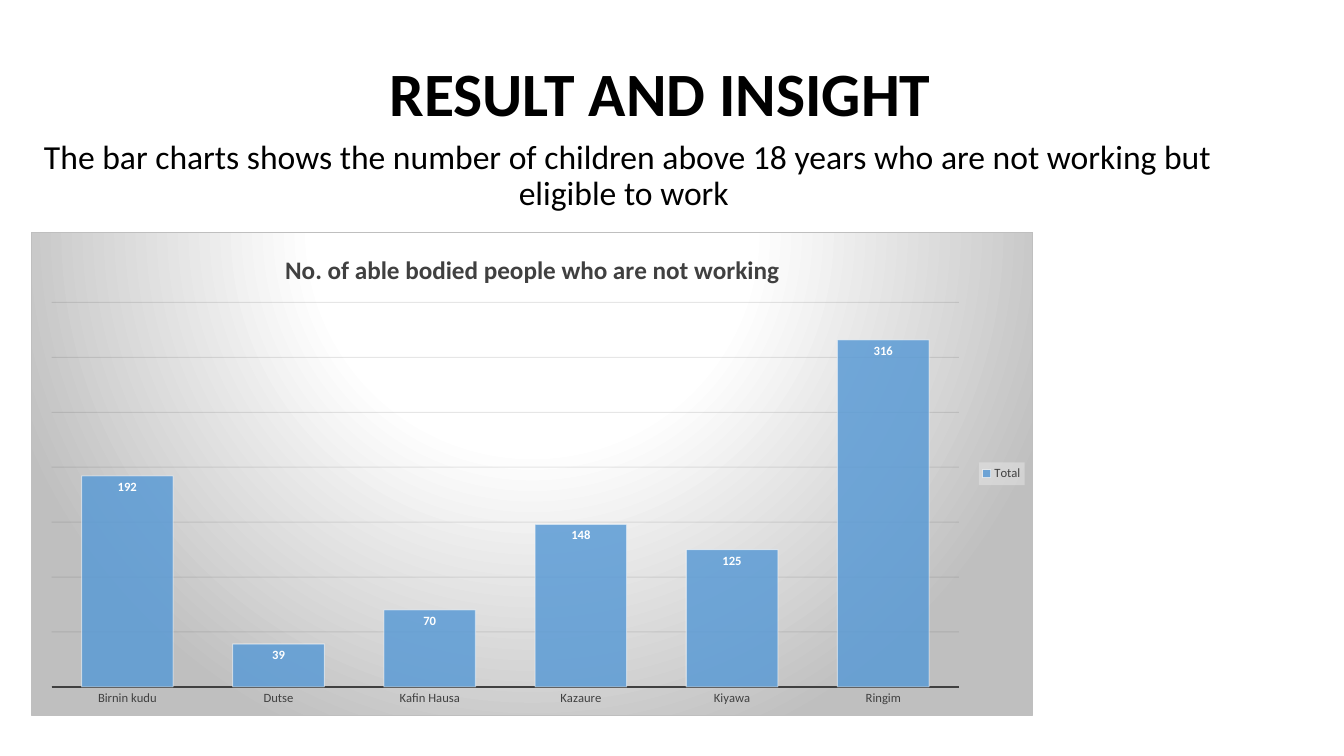
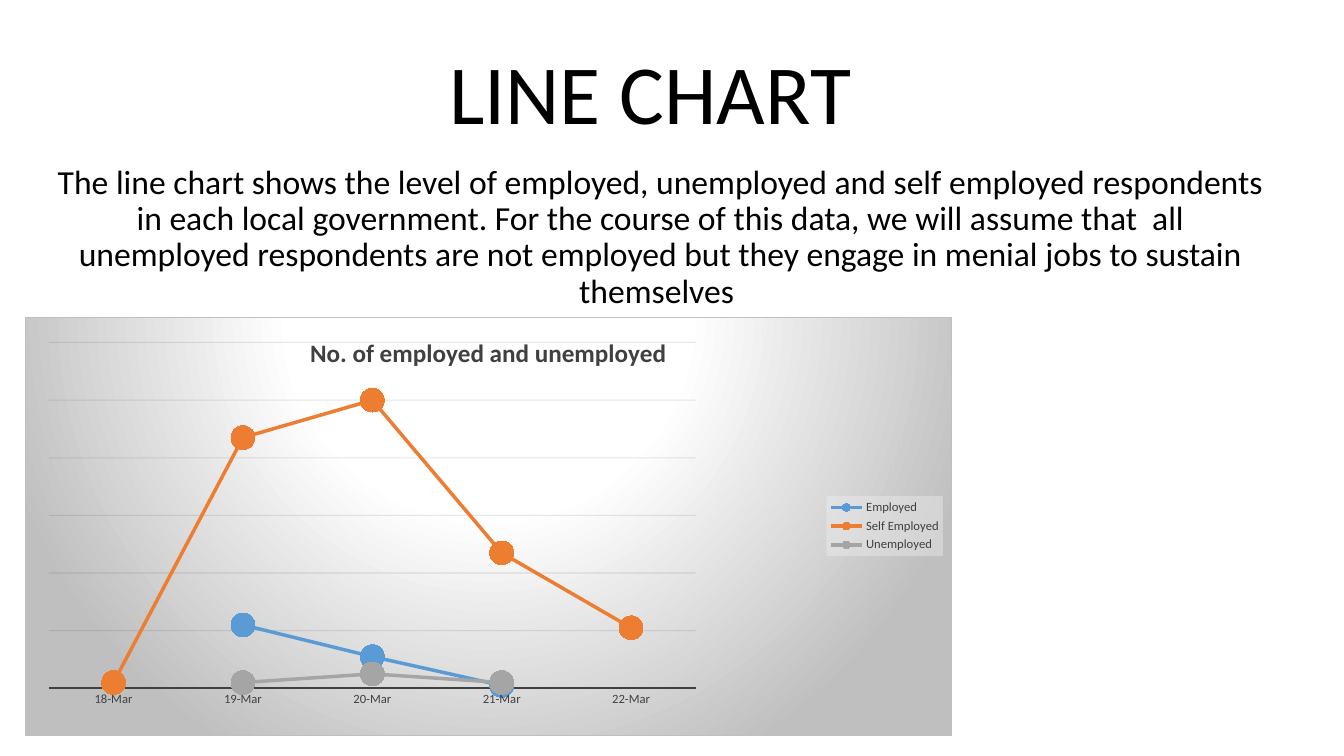
from dataclasses import dataclass
from typing import Optional

from pptx import Presentation
from pptx.chart.chart import Chart
from pptx.chart.data import CategoryChartData as Data
from pptx.dml.color import RGBColor
from pptx.enum.chart import XL_CHART_TYPE as Kind
from pptx.enum.chart import XL_LABEL_POSITION as Spot
from pptx.enum.chart import XL_LEGEND_POSITION as Side
from pptx.enum.chart import XL_MARKER_STYLE as Mark
from pptx.enum.chart import XL_TICK_MARK as Tick
from pptx.enum.text import MSO_ANCHOR as Anchor
from pptx.enum.text import MSO_AUTO_SIZE as Fit
from pptx.enum.text import PP_ALIGN as Align
from pptx.oxml import parse_xml
from pptx.oxml.ns import nsdecls
from pptx.util import Inches, Pt

FONT = "Calibri"
BLACK = RGBColor(0x00, 0x00, 0x00)
WHITE = RGBColor(0xFF, 0xFF, 0xFF)
INK = RGBColor(0x40, 0x40, 0x40)
GRID = RGBColor(0x0D, 0x0D, 0x0D)
SILVER = RGBColor(0xBF, 0xBF, 0xBF)
PALE = RGBColor(0xF2, 0xF2, 0xF2)
BLUE = RGBColor(0x5B, 0x9B, 0xD5)
ORANGE = RGBColor(0xED, 0x7D, 0x31)
GRAY = RGBColor(0xA5, 0xA5, 0xA5)
HUES = (BLUE, ORANGE, GRAY)

Box = tuple[float, float, float, float]


@dataclass(frozen=True)
class Text:
    """A text with its place and size."""
    words: str
    box: Box
    size: int
    bold: bool = False


@dataclass(frozen=True)
class Plot:
    """A chart with its data."""
    title: str
    box: Box
    kind: Kind
    cats: tuple[str, ...]
    rows: dict[str, tuple[Optional[int], ...]]
    top: int
    step: int
    inner: Optional[Box] = None


@dataclass(frozen=True)
class Page:
    """One slide: title, lead text and chart."""
    head: Text
    lead: Text
    plot: Plot


PAGES = (
    Page(
        Text("RESULT AND INSIGHT", (1.55, 0.11, 10, 1.23), 44, True),
        Text("The bar charts shows the number of children above 18 years who "
             "are not working but eligible to work ", (0.31, 1.34, 11.83, 0.9), 24),
        Plot("No. of able bodied people who are not working",
             (0.31, 2.3, 9.94, 4.8), Kind.COLUMN_CLUSTERED,
             ("Birnin kudu", "Dutse", "Kafin Hausa", "Kazaure", "Kiyawa", "Ringim"),
             {"Total": (192, 39, 70, 148, 125, 316)}, 350, 50),
    ),
    Page(
        Text("LINE CHART", (0.59, 0.41, 11.72, 1.06), 60),
        Text("The line chart shows the level of employed, unemployed and self "
             "employed respondents in each local government. For the course of "
             "this data, we will assume that  all unemployed respondents are not "
             "employed but they engage in menial jobs to sustain themselves ",
             (0.46, 1.59, 12.18, 1.5), 24),
        Plot("No. of employed and unemployed",
             (0.25, 3.14, 9.19, 4.16), Kind.LINE_MARKERS,
             ("18-Mar", "19-Mar", "20-Mar", "21-Mar", "22-Mar"),
             {"Employed": (None, 22, 11, 1, None),
              "Self Employed": (2, 87, 100, 47, 21),
              "Unemployed": (None, 2, 5, 2, None)},
             120, 20, (0.025, 0.061, 0.699, 0.827)),
    ),
)


def style(font, size: float, color: RGBColor, bold: bool = False) -> None:
    """Format a font."""
    font.name, font.size, font.bold = FONT, Pt(size), bold
    font.color.rgb = color


def write(frame, words: str, *, size: float, color: RGBColor = BLACK,
          bold: bool = False, gap: float = 0, lead: float = 0.9) -> None:
    """Put one centred paragraph in a text frame."""
    para = frame.paragraphs[0]
    para.alignment = Align.CENTER
    para.line_spacing, para.space_before = lead, Pt(gap)
    run = para.add_run()
    run.text = words
    style(run.font, size, color, bold)


def stroke(line, color: RGBColor, width: float) -> None:
    """Format a line."""
    line.color.rgb, line.width = color, Pt(width)


def fade(chart: Chart, route: str, share: int) -> None:
    """Set the opacity in percent of the colours found."""
    for color in chart._chartSpace.xpath(route):
        color.append(parse_xml(f'<a:alpha {nsdecls("a")} val="{share * 1000}"/>'))


def back(chart: Chart) -> None:
    """Give the chart its radial backdrop and the legend a pale one."""
    stops = "".join(
        f'<a:gs pos="{pos * 1000}"><a:srgbClr val="{color}"/></a:gs>'
        for pos, color in ((0, WHITE), (39, WHITE), (100, SILVER)))
    chart._chartSpace.xpath("c:chart")[0].addnext(parse_xml(
        f'<c:spPr {nsdecls("c", "a")}><a:gradFill><a:gsLst>{stops}</a:gsLst>'
        '<a:path path="circle"><a:fillToRect l="50000" t="-80000" r="50000" '
        f'b="180000"/></a:path></a:gradFill><a:ln w="{Pt(0.75)}"><a:solidFill>'
        f'<a:srgbClr val="{SILVER}"/></a:solidFill></a:ln></c:spPr>'))
    chart._chartSpace.xpath("c:chart/c:legend/c:txPr")[0].addprevious(parse_xml(
        f'<c:spPr {nsdecls("c", "a")}><a:solidFill><a:srgbClr val="{PALE}">'
        '<a:alpha val="39000"/></a:srgbClr></a:solidFill></c:spPr>'))


def place(chart: Chart, inner: Box) -> None:
    """Fix the inner plot area as shares of the chart."""
    area = chart._chartSpace.xpath("c:chart/c:plotArea")[0]
    for old in area.xpath("c:layout"):
        area.remove(old)
    sizes = "".join(f'<c:{key} val="{val}"/>' for key, val in zip("xywh", inner))
    area.insert(0, parse_xml(
        f'<c:layout {nsdecls("c")}><c:manualLayout><c:layoutTarget val="inner"/>'
        '<c:xMode val="edge"/><c:yMode val="edge"/>'
        f'{sizes}</c:manualLayout></c:layout>'))


def axes(chart: Chart, plot: Plot) -> None:
    """Format both axes and the grid."""
    cat, val = chart.category_axis, chart.value_axis
    cat.major_tick_mark = cat.minor_tick_mark = Tick.NONE
    cat.has_major_gridlines = False
    style(cat.tick_labels.font, 9, INK)
    stroke(cat.format.line, INK, 1.5)
    val.visible, val.has_major_gridlines = False, True
    val.minimum_scale, val.maximum_scale = 0, plot.top
    val.major_unit = plot.step
    stroke(val.major_gridlines.format.line, GRID, 0.75)
    fade(chart, ".//c:majorGridlines//a:srgbClr", 10)


def bars(chart: Chart) -> None:
    """Format the columns and their labels."""
    body = chart.plots[0]
    body.gap_width, body.vary_by_categories = 65, False
    for row, hue in zip(body.series, HUES):
        row.format.fill.solid()
        row.format.fill.fore_color.rgb = hue
        stroke(row.format.line, WHITE, 0.75)
    fade(chart, ".//c:ser/c:spPr/a:solidFill/a:srgbClr", 85)
    fade(chart, ".//c:ser/c:spPr/a:ln//a:srgbClr", 50)
    body.has_data_labels = True
    tags = body.data_labels
    tags.show_value, tags.position = True, Spot.INSIDE_END
    style(tags.font, 9, WHITE, True)


def lines(chart: Chart) -> None:
    """Format the lines and their round markers."""
    body = chart.plots[0]
    body.vary_by_categories = False
    for row, hue in zip(body.series, HUES):
        row.smooth = False
        stroke(row.format.line, hue, 2.5)
        row.marker.style, row.marker.size = Mark.CIRCLE, 17
        row.marker.format.fill.solid()
        row.marker.format.fill.fore_color.rgb = hue
        row.marker.format.line.fill.background()


def draw(slide, plot: Plot) -> None:
    """Add a chart to the slide."""
    data = Data()
    data.categories = plot.cats
    for name, vals in plot.rows.items():
        data.add_series(name, vals)
    chart = slide.shapes.add_chart(plot.kind, *map(Inches, plot.box), data).chart
    style(chart.font, 10, BLACK)
    chart.has_title = True
    write(chart.chart_title.text_frame, plot.title, size=18, color=INK,
          bold=True, lead=1.0)
    chart.chart_title.include_in_layout = False
    chart.has_legend = True
    chart.legend.position = Side.RIGHT
    chart.legend.include_in_layout = False
    style(chart.legend.font, 9, INK)
    axes(chart, plot)
    if plot.kind == Kind.LINE_MARKERS:
        lines(chart)
    else:
        bars(chart)
    if plot.inner:
        place(chart, plot.inner)
    back(chart)


def build(deck, page: Page) -> None:
    """Add one slide."""
    slide = deck.slides.add_slide(deck.slide_layouts[5])
    head, lead = page.head, page.lead
    title = slide.shapes.title
    title.left, title.top, title.width, title.height = map(Inches, head.box)
    title.text_frame.auto_size = Fit.NONE
    title.text_frame.vertical_anchor = Anchor.BOTTOM
    write(title.text_frame, head.words, size=head.size, bold=head.bold)
    note = slide.shapes.add_textbox(*map(Inches, lead.box)).text_frame
    note.word_wrap = True
    write(note, lead.words, size=lead.size, gap=10)
    draw(slide, page.plot)


def main() -> None:
    """Build and save the deck."""
    deck = Presentation()
    deck.slide_width, deck.slide_height = Inches(13.33), Inches(7.5)
    for page in PAGES:
        build(deck, page)
    deck.save("out.pptx")


if __name__ == "__main__":
    main()
